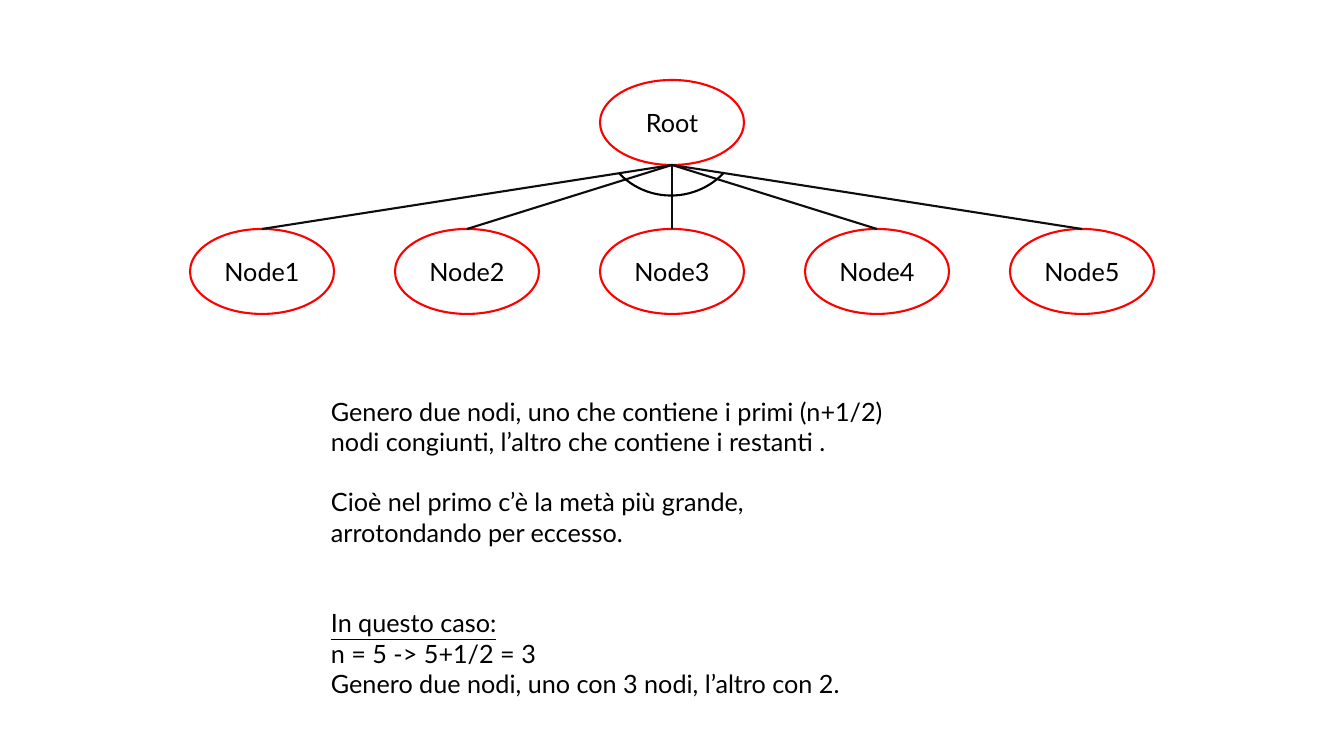
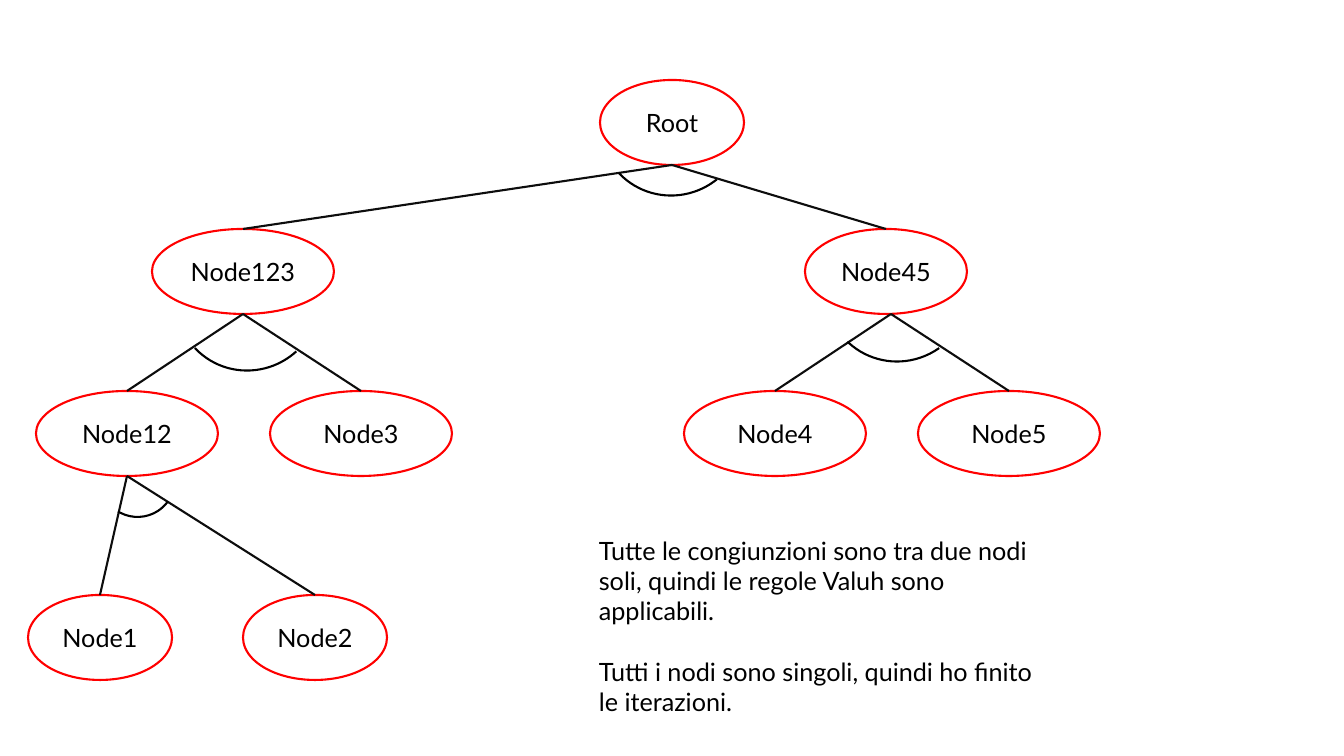
from dataclasses import dataclass
from typing import Any

from lxml.etree import SubElement
from pptx import Presentation
from pptx.dml.color import RGBColor
from pptx.enum.shapes import MSO_CONNECTOR as Connector, MSO_SHAPE as Shape
from pptx.enum.text import MSO_ANCHOR as Anchor, MSO_AUTO_SIZE as AutoSize, PP_ALIGN as Align
from pptx.oxml.ns import qn
from pptx.util import Emu, Pt

SLIDE_SIZE = (1344, 756)
EMU_PER_PX = 12192000 / SLIDE_SIZE[0]
NODE_HEIGHT = 85
NODE_WIDTH = 144
WIDE_NODE_WIDTH = 182
NODE_STEP = 205
LEVEL_TOPS = (80, 229, 391, 595)
ARC_SIZE = (146, 144)
ELLIPSE_TOP_SITE, ELLIPSE_BOTTOM_SITE = 0, 4
ADJUSTMENT_PER_DEGREE = 0.6


@dataclass(frozen=True)
class Theme:
    font: str = "Lato"
    size: float = 18
    blank_line: float = 21.6
    line_width: float = 1.5
    text: RGBColor = RGBColor(0x00, 0x00, 0x00)
    node_fill: RGBColor = RGBColor(0xFF, 0xFF, 0xFF)
    node_line: RGBColor = RGBColor(0xFF, 0x00, 0x00)
    branch: RGBColor = RGBColor(0x0D, 0x0D, 0x0D)
    arc: RGBColor = RGBColor(0x00, 0x00, 0x00)


THEME = Theme()


@dataclass(frozen=True)
class Node:
    label: str
    left: int
    level: int
    width: int = NODE_WIDTH
    parent: str = ""
    exit_shift: int = 0

    @property
    def top(self) -> int:
        return LEVEL_TOPS[self.level]

    @property
    def center(self) -> int:
        return self.left + self.width // 2


@dataclass(frozen=True)
class Arc:
    left: int
    top: int
    start: float
    end: float = 4.38
    size: tuple[int, int] = ARC_SIZE
    rotation: float = 132.3


@dataclass(frozen=True)
class Line:
    text: str
    blanks_before: int = 0
    underline: bool = False


@dataclass(frozen=True)
class Note:
    left: int
    top: int
    width: int
    height: int
    lines: tuple[Line, ...]


@dataclass(frozen=True)
class TreeSlide:
    nodes: tuple[Node, ...]
    arcs: tuple[Arc, ...]
    note: Note


def px(*lengths: int) -> list[Emu]:
    return [Emu(round(length * EMU_PER_PX)) for length in lengths]


def apply_format(target: Any, values: dict[str, Any]) -> None:
    for name, value in values.items():
        setattr(target, name, value)


def format_line(shape: Any, color: RGBColor) -> None:
    shape.line.width = Pt(THEME.line_width)
    shape.line.color.rgb = color


def write_text(paragraph: Any, line: Line) -> None:
    run = paragraph.add_run()
    run.text = line.text
    apply_format(run.font, {"name": THEME.font, "size": Pt(THEME.size)})
    if line.underline:
        run.font.underline = True
    run.font.color.rgb = THEME.text


def draw_node(slide: Any, node: Node) -> Any:
    shape = slide.shapes.add_shape(
        Shape.OVAL, *px(node.left, node.top, node.width, NODE_HEIGHT))
    shape.shadow.inherit = False
    shape.fill.solid()
    shape.fill.fore_color.rgb = THEME.node_fill
    format_line(shape, THEME.node_line)
    shape.text_frame.vertical_anchor = Anchor.MIDDLE
    paragraph = shape.text_frame.paragraphs[0]
    paragraph.alignment = Align.CENTER
    write_text(paragraph, Line(node.label))
    return shape


def draw_branch(slide: Any, child: Node, parent: Node, shapes: dict[str, Any]) -> None:
    connector = slide.shapes.add_connector(
        Connector.STRAIGHT,
        *px(child.center, child.top,
            parent.center + parent.exit_shift, parent.top + NODE_HEIGHT))
    connector.begin_connect(shapes[child.label], ELLIPSE_TOP_SITE)
    if not parent.exit_shift:
        properties = connector._element.find(".//" + qn("p:cNvCxnSpPr"))
        SubElement(properties, qn("a:endCxn"),
                   id=str(shapes[parent.label].shape_id), idx=str(ELLIPSE_BOTTOM_SITE))
    format_line(connector, THEME.branch)
    SubElement(connector._element.spPr, qn("a:effectLst"))


def draw_arc(slide: Any, arc: Arc) -> None:
    shape = slide.shapes.add_shape(Shape.ARC, *px(arc.left, arc.top, *arc.size))
    shape.shadow.inherit = False
    shape.fill.background()
    shape.rotation = arc.rotation
    for index, degrees in enumerate((arc.start, arc.end)):
        shape.adjustments[index] = degrees * ADJUSTMENT_PER_DEGREE
    format_line(shape, THEME.arc)


def draw_note(slide: Any, note: Note) -> None:
    box = slide.shapes.add_textbox(*px(note.left, note.top, note.width, note.height))
    frame = box.text_frame
    apply_format(frame, {"word_wrap": True, "auto_size": AutoSize.SHAPE_TO_FIT_TEXT})
    for index, line in enumerate(note.lines):
        paragraph = frame.add_paragraph() if index else frame.paragraphs[0]
        paragraph.space_before = Pt(line.blanks_before * THEME.blank_line)
        write_text(paragraph, line)


def draw_tree(presentation: Any, tree: TreeSlide) -> None:
    slide = presentation.slides.add_slide(presentation.slide_layouts[6])
    nodes = {node.label: node for node in tree.nodes}
    shapes = {node.label: draw_node(slide, node) for node in tree.nodes}
    for node in tree.nodes:
        if node.parent:
            draw_branch(slide, node, nodes[node.parent], shapes)
    for arc in tree.arcs:
        draw_arc(slide, arc)
    draw_note(slide, tree.note)


ROOT = Node("Root", 600, 0)

FLAT_TREE = TreeSlide(
    nodes=(ROOT, *(Node(f"Node{index + 1}", 190 + NODE_STEP * index, 1, parent="Root")
                   for index in range(5))),
    arcs=(Arc(599, 51, 272.27),),
    note=Note(321, 391, 577, 316, (
        Line("Genero due nodi, uno che contiene i primi (n+1/2) nodi congiunti, "
             "l’altro che contiene i restanti ."),
        Line("Cioè nel primo c’è la metà più grande, arrotondando per eccesso.", 1),
        Line("In questo caso:", 2, underline=True),
        Line("n = 5 -> 5+1/2 = 3"),
        Line("Genero due nodi, uno con 3 nodi, l’altro con 2."),
    )),
)

BINARY_TREE = TreeSlide(
    nodes=(
        ROOT,
        Node("Node123", 152, 1, WIDE_NODE_WIDTH, "Root"),
        Node("Node45", 805, 1, 162, "Root", exit_shift=5),
        Node("Node12", 36, 2, WIDE_NODE_WIDTH, "Node123"),
        Node("Node3", 270, 2, WIDE_NODE_WIDTH, "Node123"),
        Node("Node4", 684, 2, WIDE_NODE_WIDTH, "Node45"),
        Node("Node5", 918, 2, WIDE_NODE_WIDTH, "Node45"),
        Node("Node1", 28, 3, parent="Node12"),
        Node("Node2", 243, 3, parent="Node12"),
    ),
    arcs=(
        Arc(599, 51, 279.19),
        Arc(175, 226, 275.6),
        Arc(825, 217, 282.83, 1.48),
        Arc(100, 442, 279.19, size=(75, 75), rotation=117.1),
    ),
    note=Note(589, 530, 471, 194, (
        Line("Tutte le congiunzioni sono tra due nodi soli, quindi le regole Valuh "
             "sono applicabili."),
        Line("Tutti i nodi sono singoli, quindi ho finito le iterazioni.", 1),
    )),
)


def main() -> None:
    presentation = Presentation()
    presentation.slide_width, presentation.slide_height = px(*SLIDE_SIZE)
    for tree in (FLAT_TREE, BINARY_TREE):
        draw_tree(presentation, tree)
    presentation.save("out.pptx")


if __name__ == "__main__":
    main()
